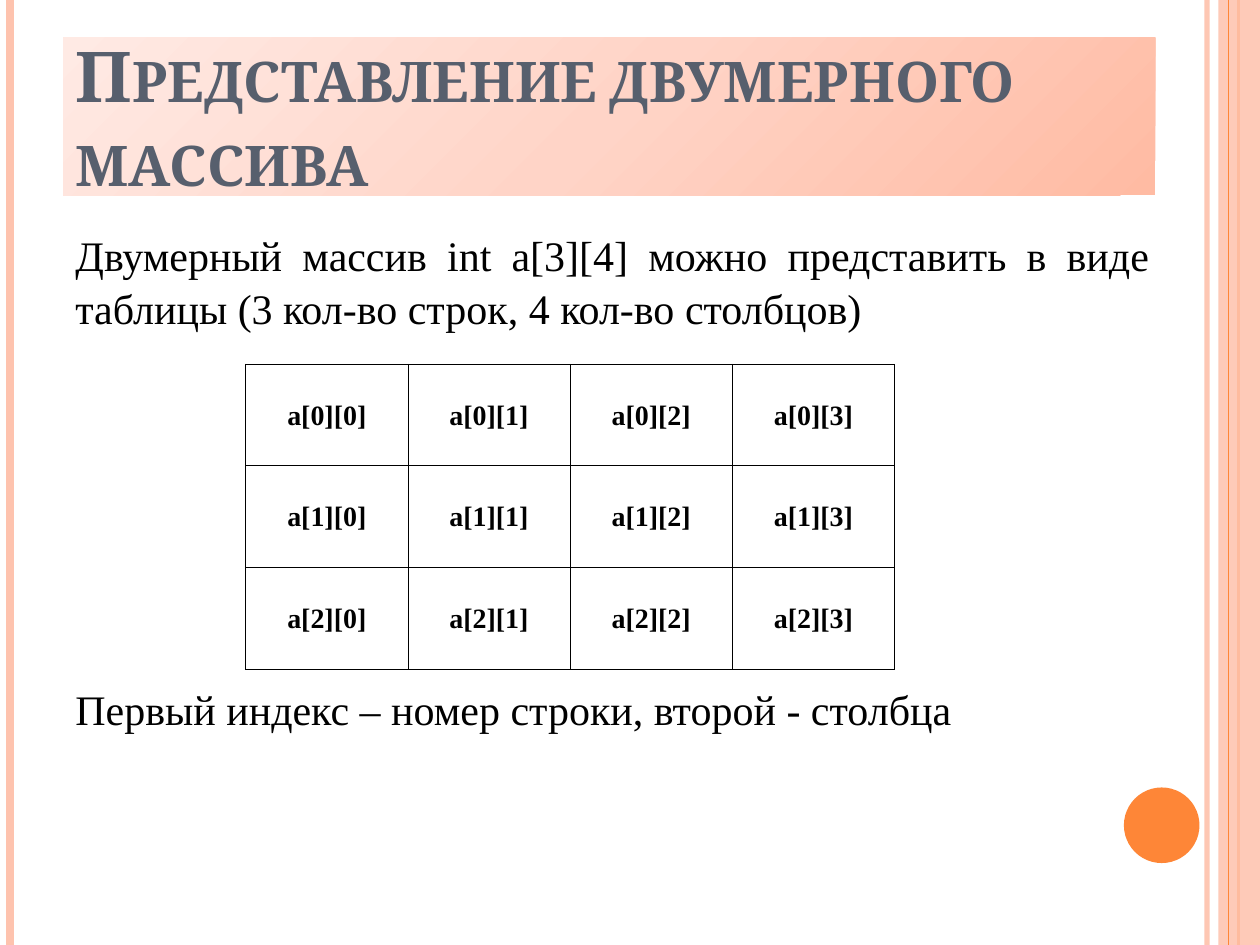
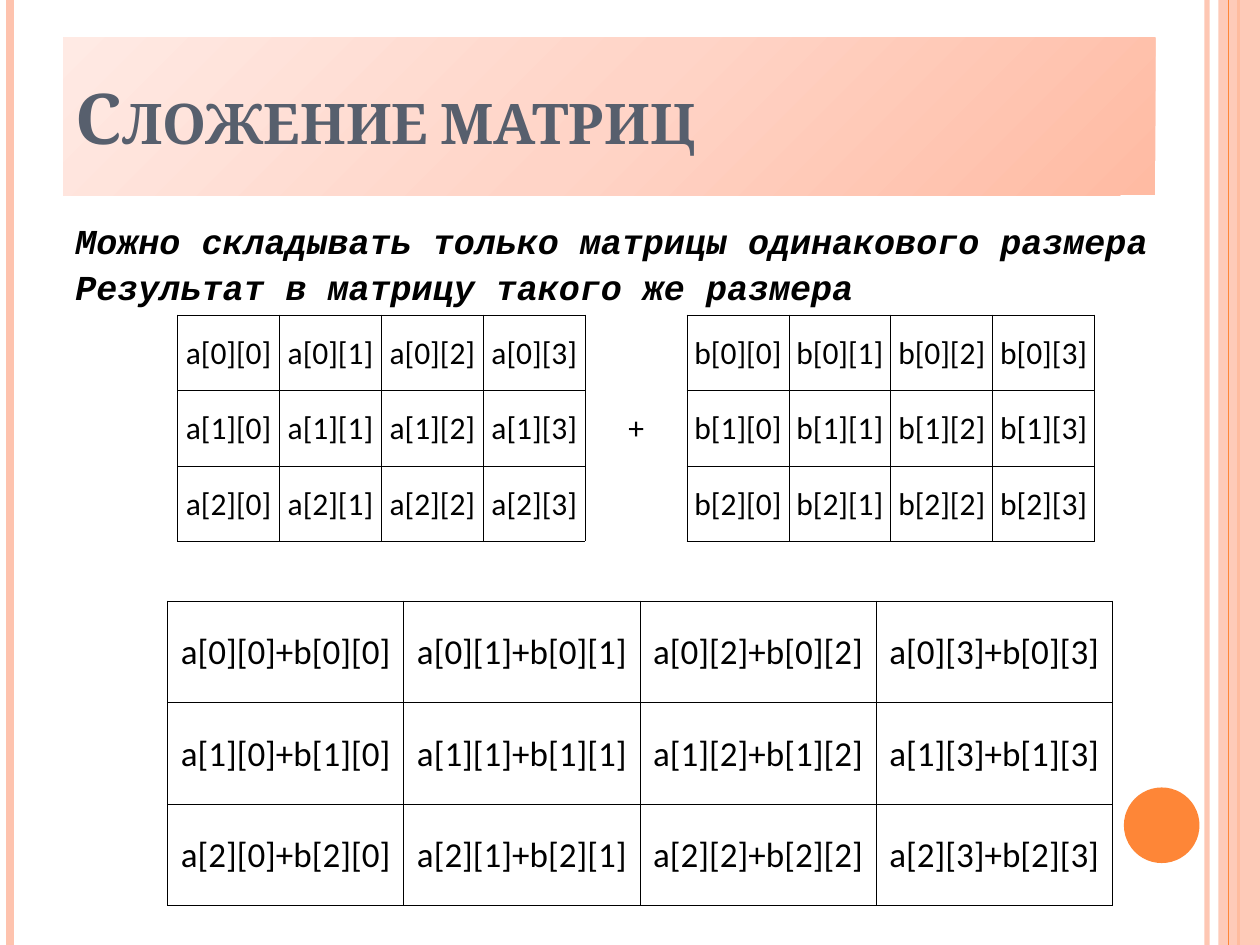
from lxml import etree
from pptx import Presentation
from pptx.dml.color import RGBColor
from pptx.enum.shapes import MSO_CONNECTOR, MSO_SHAPE
from pptx.enum.text import MSO_ANCHOR, MSO_AUTO_SIZE, PP_ALIGN
from pptx.oxml import parse_xml
from pptx.oxml.ns import nsdecls, qn
from pptx.util import Inches, Pt

ORANGE = RGBColor(0xFE, 0x86, 0x37)
PEACH = RGBColor(0xFE, 0xC3, 0xAE)
SLATE = RGBColor(0x57, 0x5F, 0x6D)
BLACK = RGBColor(0, 0, 0)
TITLE_STOPS = [(0, "FFBBA3"), (50, "FFD4C7"), (100, "FFEAE4")]

W, H = 10, 7.5
ROWS, COLS = 3, 4
LEFT, TEXT_W = 0.5, 8.72


def matrix(name):
    return [[f"{name}[{r}][{c}]" for c in range(COLS)] for r in range(ROWS)]


A, B = matrix("a"), matrix("b")
TERMS = [a + ["+" if i == 0 else ""] + b for i, (a, b) in enumerate(zip(A, B))]
SUMS = [[f"{x}+{y}" for x, y in zip(a, b)] for a, b in zip(A, B)]

SERIF = dict(name="Times New Roman", size=24)
MONO = dict(name="Courier New", size=20, bold=True, italic=True)

# Boxes are left, top, width, height in inches.
SLIDES = [
    dict(
        title="Представление двумерного массива",
        texts=[
            dict(box=(LEFT, 1.75, TEXT_W, 0.95), font=SERIF, spacing=1.05,
                 align=PP_ALIGN.JUSTIFY,
                 lines=["Двумерный массив int a[3][4] можно представить в виде "
                        "таблицы (3 кол-во строк, 4 кол-во столбцов)"]),
            dict(box=(LEFT, 5.36, TEXT_W, 0.5), font=SERIF, spacing=1.05,
                 align=PP_ALIGN.JUSTIFY,
                 lines=["Первый индекс – номер строки, второй - столбца"]),
        ],
        tables=[dict(box=(1.95, 2.89, 5.15, 2.42), rows=A,
                     font=dict(name="Times New Roman", size=16, bold=True))],
    ),
    dict(
        title="Сложение матриц",
        texts=[
            dict(box=(LEFT, 1.75, TEXT_W, 0.75), font=MONO, spacing=0.84,
                 align=PP_ALIGN.LEFT,
                 lines=["Можно складывать только матрицы одинакового размера",
                        "Результат в матрицу такого же размера"]),
        ],
        tables=[
            dict(box=(1.41, 2.5, 7.28, 1.8), rows=TERMS, sign_col=COLS,
                 font=dict(name="Calibri", size=18)),
            dict(box=(1.33, 4.77, 7.5, 2.42), rows=SUMS,
                 font=dict(name="Calibri", size=20)),
        ],
    ),
]


def inches(box):
    return [Inches(v) for v in box]


def set_font(p, name, size, bold=False, italic=False, color=BLACK):
    f = p.font
    f.name, f.size, f.bold, f.italic = name, Pt(size), bold, italic
    f.color.rgb = color


def set_alpha(parent, percent):
    color = next(parent.iter(qn("a:srgbClr")))
    etree.SubElement(color, qn("a:alpha")).set("val", str(percent * 1000))


def add_rule(s, x, color, width, alpha=None):
    """Draw a vertical line over the full height of the slide."""
    line = s.shapes.add_connector(MSO_CONNECTOR.STRAIGHT, Inches(x), 0, Inches(x), Inches(H))
    line.line.color.rgb = color
    line.line.width = Pt(width)
    sp_pr = line._element.spPr
    if alpha:
        set_alpha(sp_pr, alpha)
    etree.SubElement(sp_pr, qn("a:effectLst"))


def add_filled(s, kind, box, color):
    sp = s.shapes.add_shape(kind, *inches(box))
    sp.shadow.inherit = False
    sp.fill.solid()
    sp.fill.fore_color.rgb = color
    sp.line.fill.background()
    return sp


def add_frame(s):
    """Draw the side bands and the circle that every slide carries."""
    add_rule(s, 9.58, PEACH, 3, alpha=93)
    add_rule(s, 0.08, PEACH, 4.5)
    add_rule(s, 9.83, ORANGE, 1.5)
    band = add_filled(s, MSO_SHAPE.RECTANGLE, (W - 0.33, 0, 0.33, H), PEACH)
    set_alpha(band._element.spPr, 87)
    add_rule(s, 9.75, ORANGE, 0.75)
    add_filled(s, MSO_SHAPE.OVAL, (8.92, 6.25, 0.6, 0.6), ORANGE)


def format_title(sp, text):
    sp.left, sp.top, sp.width, sp.height = inches((LEFT, 0.3, 8.67, 1.25))
    stops = "".join(f'<a:gs pos="{pos * 1000}"><a:srgbClr val="{c}"/></a:gs>'
                    for pos, c in TITLE_STOPS)
    sp._element.spPr.append(parse_xml(
        f'<a:gradFill {nsdecls("a")} rotWithShape="1"><a:gsLst>{stops}</a:gsLst>'
        f'<a:lin ang="{225 * 60000}" scaled="0"/></a:gradFill>'))
    tf = sp.text_frame
    tf.auto_size = MSO_AUTO_SIZE.NONE
    tf.vertical_anchor = MSO_ANCHOR.MIDDLE
    tf.text = text
    p = tf.paragraphs[0]
    p.alignment = PP_ALIGN.LEFT
    set_font(p, "Cambria", 40, bold=True, color=SLATE)
    p.runs[0]._r.get_or_add_rPr().set("cap", "small")


def add_text(s, box, lines, font, spacing, align):
    tf = s.shapes.add_textbox(*inches(box)).text_frame
    tf.word_wrap = True
    for i, line in enumerate(lines):
        p = tf.add_paragraph() if i else tf.paragraphs[0]
        p.text = line
        p.alignment = align
        p.line_spacing = spacing
        if i:
            p.space_before = Pt(6)
        set_font(p, **font)


def set_borders(cell, sides):
    tc_pr = cell._tc.get_or_add_tcPr()
    for i, side in enumerate(sides):
        tc_pr.insert(i, parse_xml(
            f'<a:ln{side} {nsdecls("a")} w="{Pt(0.5)}"><a:solidFill>'
            f'<a:srgbClr val="{BLACK}"/></a:solidFill></a:ln{side}>'))


def add_grid(s, box, rows, font, sign_col=None):
    """Add a bordered table; sign_col is one merged cell, open above and below."""
    n_rows, n_cols = len(rows), len(rows[0])
    table = s.shapes.add_table(n_rows, n_cols, *inches(box)).table
    table.first_row = table.horz_banding = False
    for col in table.columns:
        col.width = Inches(box[2] / n_cols)
    for row in table.rows:
        row.height = Inches(box[3] / n_rows)
    for r, row in enumerate(rows):
        for c, text in enumerate(row):
            cell = table.cell(r, c)
            cell.text = text
            cell.fill.background()
            cell.vertical_anchor = MSO_ANCHOR.MIDDLE
            cell.margin_left = cell.margin_right = cell.margin_top = Inches(0.01)
            cell.margin_bottom = 0
            p = cell.text_frame.paragraphs[0]
            p.alignment = PP_ALIGN.CENTER
            set_font(p, **font)
            set_borders(cell, "LR" if c == sign_col else "LRTB")
    if sign_col is not None:
        table.cell(0, sign_col).merge(table.cell(n_rows - 1, sign_col))


def main():
    prs = Presentation()
    prs.slide_width, prs.slide_height = Inches(W), Inches(H)
    for content in SLIDES:
        s = prs.slides.add_slide(prs.slide_layouts[5])
        add_frame(s)
        format_title(s.shapes.title, content["title"])
        for text in content["texts"]:
            add_text(s, **text)
        for grid in content["tables"]:
            add_grid(s, **grid)
    prs.save("out.pptx")


if __name__ == "__main__":
    main()
